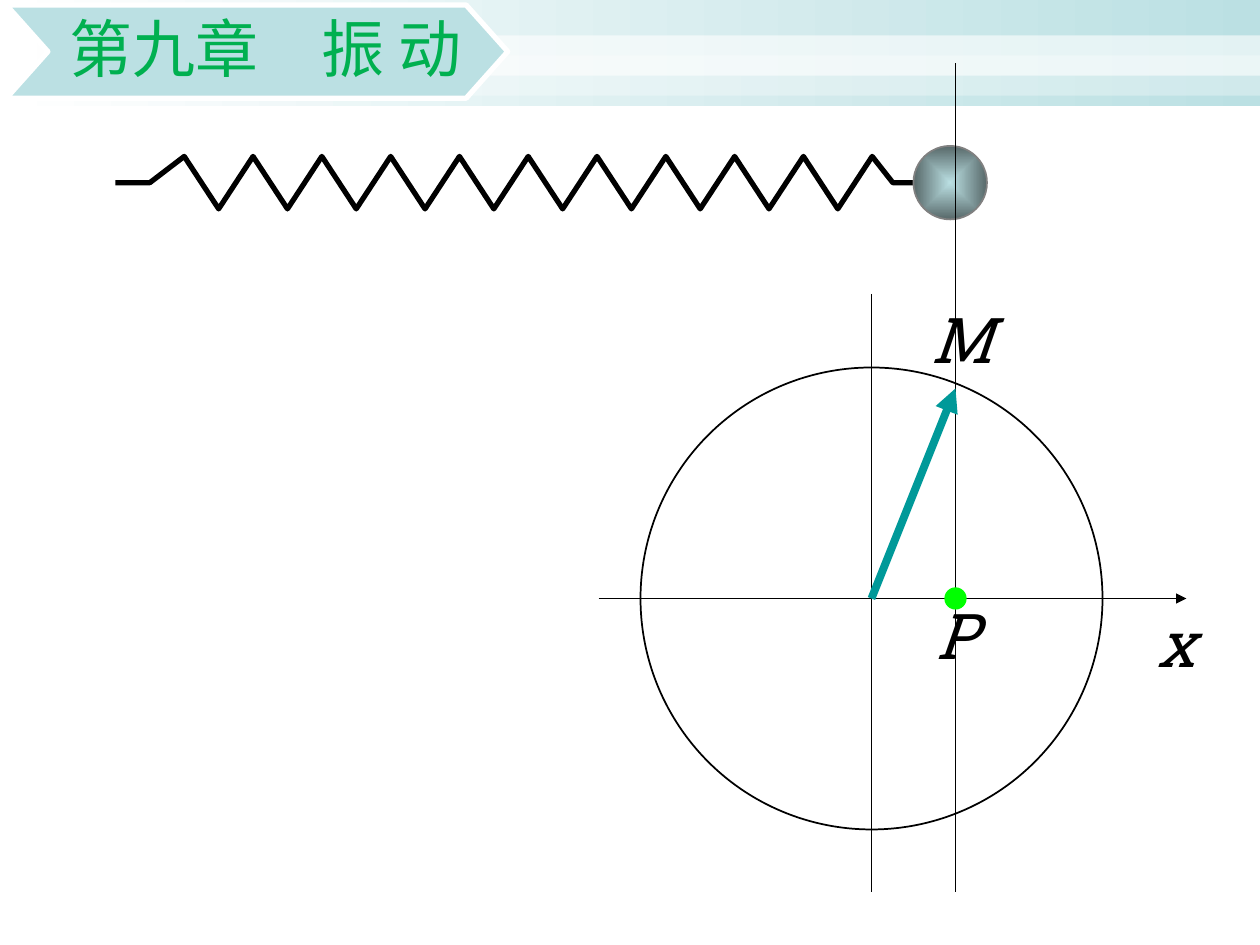
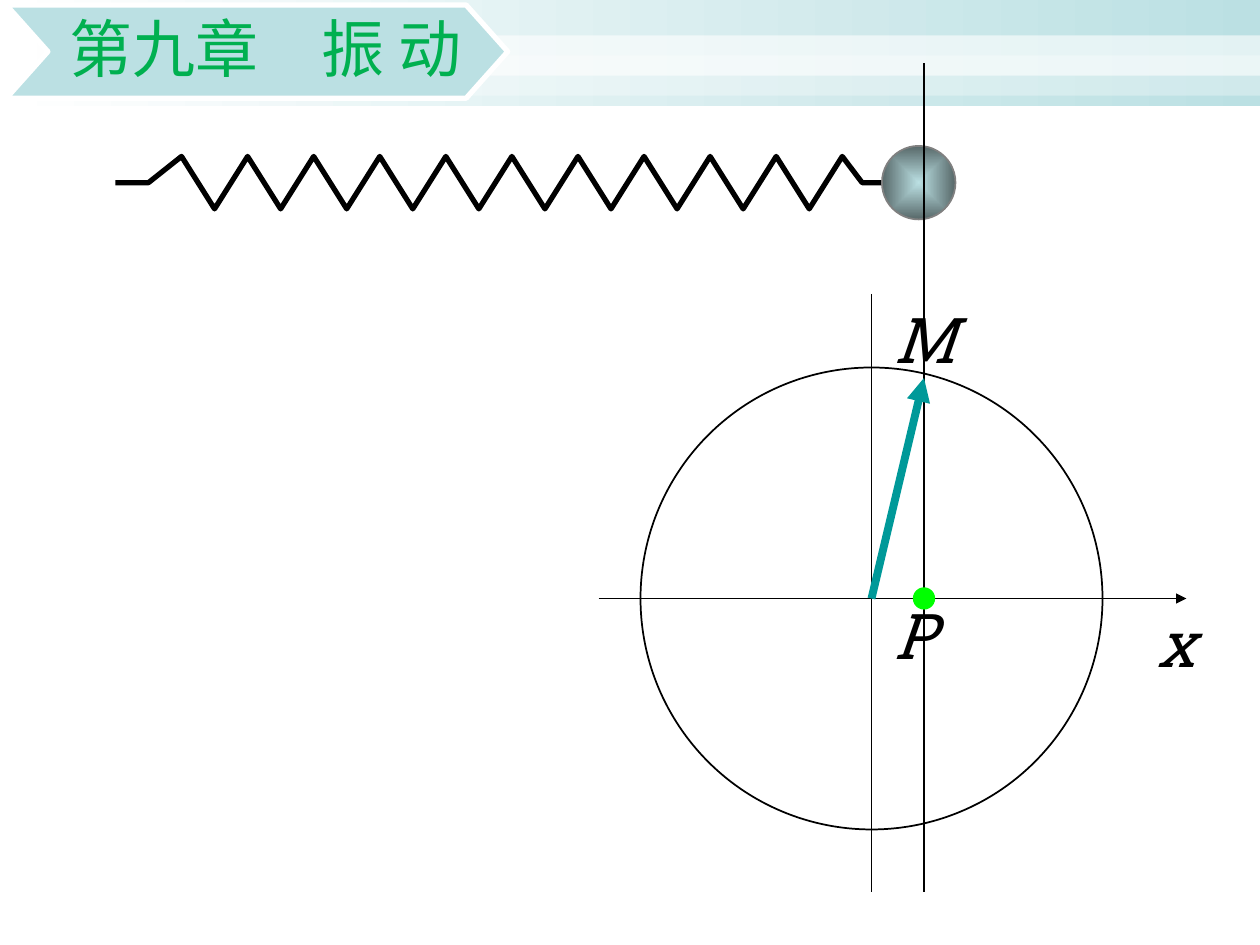
import pptx
import pptx.util
import pptx.dml.color
import pptx.enum.shapes
import pptx.enum.text
import pptx.oxml
import pptx.oxml.ns
import lxml.etree


class Theme:
    white = "FFFFFF"
    mist = "BBE0E3"
    slate = "576869"
    ball_edge = "808080"
    ink = "000000"
    vector = "009999"
    point = "00FF00"
    title = {"name": "Calibri", "size": pptx.util.Pt(36), "color": "00B050"}
    symbol = {"name": "Roboto Slab", "size": pptx.util.Pt(36), "italic": True, "color": "000000"}
    thin, spring, arrow = 1, 3, 4.5


CELL = pptx.util.Inches(1) // 12
COLUMNS, ROWS = 120, 90
CENTRE_X, CENTRE_Y, RADIUS = 83, 57, 22
SPRING_LEFT, SPRING_Y, SWING = 11, 17.4, 2.5
BALL = 7
RGB = pptx.dml.color.RGBColor.from_string
SHAPES = pptx.enum.shapes.MSO_SHAPE
qn = pptx.oxml.ns.qn


def dress(item, fill=None, line=None, width=Theme.thin, head=False):
    if hasattr(item, "fill"):
        item.shadow.inherit = False
        if isinstance(fill, tuple):
            item.fill.gradient()
            item.fill.gradient_angle = 0
            for stop, color in zip(item.fill.gradient_stops, fill):
                stop.color.rgb = RGB(color)
        elif fill:
            item.fill.solid()
            item.fill.fore_color.rgb = RGB(fill)
        else:
            item.fill.background()
    if line:
        item.line.color.rgb = RGB(line)
        item.line.width = pptx.util.Pt(width)
    else:
        item.line.fill.background()
    if head:
        lxml.etree.SubElement(item.line._get_or_add_ln(), qn("a:tailEnd"), type="triangle")
    if not hasattr(item, "fill"):
        lxml.etree.SubElement(item._element.spPr, qn("a:effectLst"))
    return item


def write(frame, text, font_values):
    para = frame.paragraphs[0]
    span = para.add_run()
    span.text = text
    for name, value in font_values.items():
        if name == "color":
            span.font.color.rgb = RGB(value)
        else:
            setattr(span.font, name, value)
    return para


deck = pptx.Presentation()
deck.slide_width, deck.slide_height = CELL * COLUMNS, CELL * ROWS

strips = [(3.36, 60), (5.28, 31)]
chevron = [(0.6, 0.48), (44.4, 0.48), (48.36, 4.92), (44.4, 9.36), (0.6, 9.36), (4.56, 4.92)]
chevron_format = {
    "vertical_anchor": pptx.enum.text.MSO_ANCHOR.MIDDLE,
    "word_wrap": True,
    "margin_left": pptx.util.Inches(0.42),
    "margin_right": pptx.util.Inches(0.37),
    "margin_top": pptx.util.Inches(0.03),
    "margin_bottom": pptx.util.Inches(0.03),
}
title_format = {
    "alignment": pptx.enum.text.PP_ALIGN.RIGHT,
    "line_spacing": 0.9,
    "space_after": pptx.util.Pt(15.8),
}
label_format = {
    "word_wrap": False,
    "auto_size": pptx.enum.text.MSO_AUTO_SIZE.SHAPE_TO_FIT_TEXT,
}
moments = [
    {"spring_right": 87, "tip_y": 37, "M": 87.5, "P": 88},
    {"spring_right": 84, "tip_y": 36, "M": 84, "P": 84},
]

for moment in moments:
    page = deck.slides.add_slide(deck.slide_layouts[6])
    shapes = page.shapes
    spring_right = moment["spring_right"]
    projection = spring_right + 4

    band = shapes.add_shape(SHAPES.RECTANGLE, 0, 0, deck.slide_width, int(10.08 * CELL))
    dress(band, (Theme.white, Theme.mist))
    for top, opacity in strips:
        strip = shapes.add_shape(SHAPES.RECTANGLE, 0, int(top * CELL), deck.slide_width, int(3.84 * CELL))
        dress(strip, Theme.white)
        color = strip._element.spPr.find(".//" + qn("a:srgbClr"))
        lxml.etree.SubElement(color, qn("a:alpha"), val=str(opacity * 1000))

    step = (spring_right - SPRING_LEFT) / 23.2
    coils = [(turn, -SWING if turn % 2 == 0 else SWING) for turn in range(2, 23)]
    bends = [(0, 0), (1, 0), *coils, (22.6, 0), (23.2, 0)]
    spring = [(SPRING_LEFT + turn * step, SPRING_Y + rise) for turn, rise in bends]
    outlines = {}
    for name, points, closed in [("spring", spring, False), ("chevron", chevron, True)]:
        corners = [(x * CELL, y * CELL) for x, y in points]
        builder = shapes.build_freeform(*corners[0])
        builder.add_line_segments(corners[1:], close=closed)
        outlines[name] = builder.convert_to_shape()
    dress(outlines["spring"], None, Theme.ink, Theme.spring)
    dress(outlines["chevron"], Theme.mist, Theme.white, Theme.spring)

    discs = [
        (spring_right + BALL / 2, SPRING_Y, BALL / 2, (Theme.mist, Theme.slate), Theme.ball_edge, Theme.thin),
        (CENTRE_X, CENTRE_Y, RADIUS, None, Theme.ink, Theme.thin),
    ]
    lines = [
        (projection, 6, projection, 85, Theme.ink, Theme.thin, False),
        (57, CENTRE_Y, 113, CENTRE_Y, Theme.ink, Theme.thin, True),
        (CENTRE_X, 28, CENTRE_X, 85, Theme.ink, Theme.thin, False),
        (CENTRE_X, CENTRE_Y, projection, moment["tip_y"], Theme.vector, Theme.arrow, True),
    ]
    dot = (projection, CENTRE_Y, 1, Theme.point, Theme.point, 0.75)

    for x, y, radius, fill, edge, width in [*discs, dot]:
        box = [int(value * CELL) for value in (x - radius, y - radius, 2 * radius, 2 * radius)]
        disc = dress(shapes.add_shape(SHAPES.OVAL, *box), fill, edge, width)
        if isinstance(fill, tuple):
            gradient = disc._element.spPr.find(qn("a:gradFill"))
            gradient.remove(gradient.find(qn("a:lin")))
            radial = lxml.etree.SubElement(gradient, qn("a:path"), path="rect")
            lxml.etree.SubElement(radial, qn("a:fillToRect"), l="50000", t="50000", r="50000", b="50000")
    for x1, y1, x2, y2, color, width, head in lines:
        ends = [value * CELL for value in (x1, y1, x2, y2)]
        line = shapes.add_connector(pptx.enum.shapes.MSO_CONNECTOR.STRAIGHT, *ends)
        dress(line, None, color, width, head)
    shapes._spTree.append(disc._element)

    labels = [("x", 109.1, 57, 5.6), ("M", moment["M"], 28, 7.5), ("P", moment["P"], 56.25, 6)]
    for text, left, top, width in labels:
        box = shapes.add_textbox(*[int(value * CELL) for value in (left, top, width, 8.4)])
        for name, value in label_format.items():
            setattr(box.text_frame, name, value)
        write(box.text_frame, text, Theme.symbol)

    frame = outlines["chevron"].text_frame
    for name, value in chevron_format.items():
        setattr(frame, name, value)
    para = write(frame, "第九章　振 动", Theme.title)
    for name, value in title_format.items():
        setattr(para, name, value)

deck.save("out.pptx")
